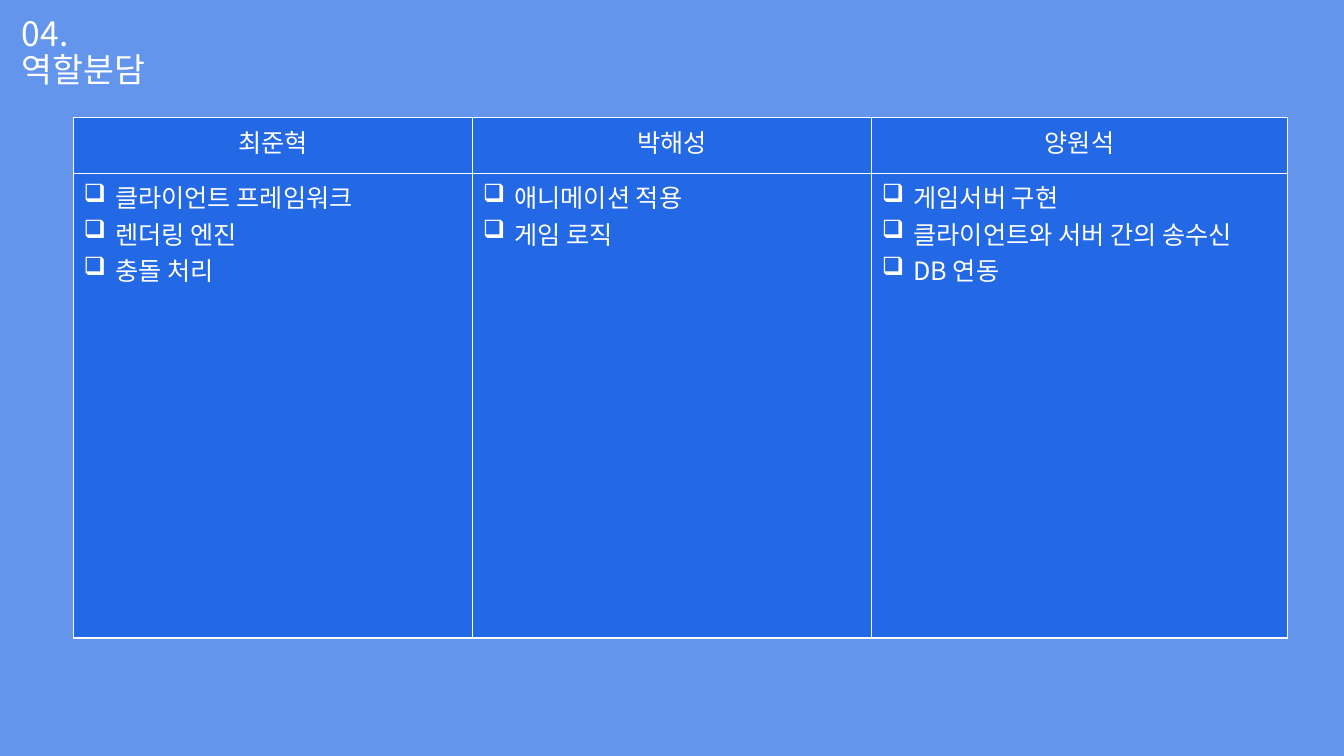
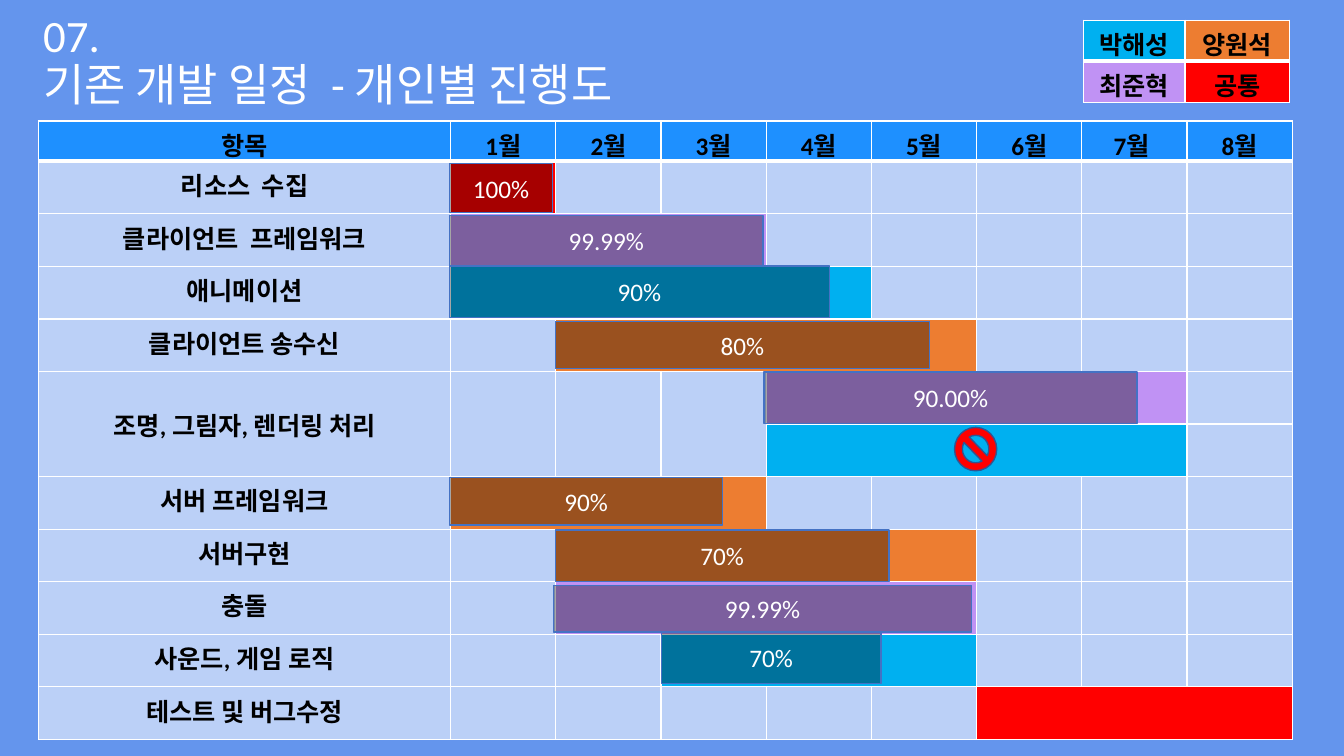
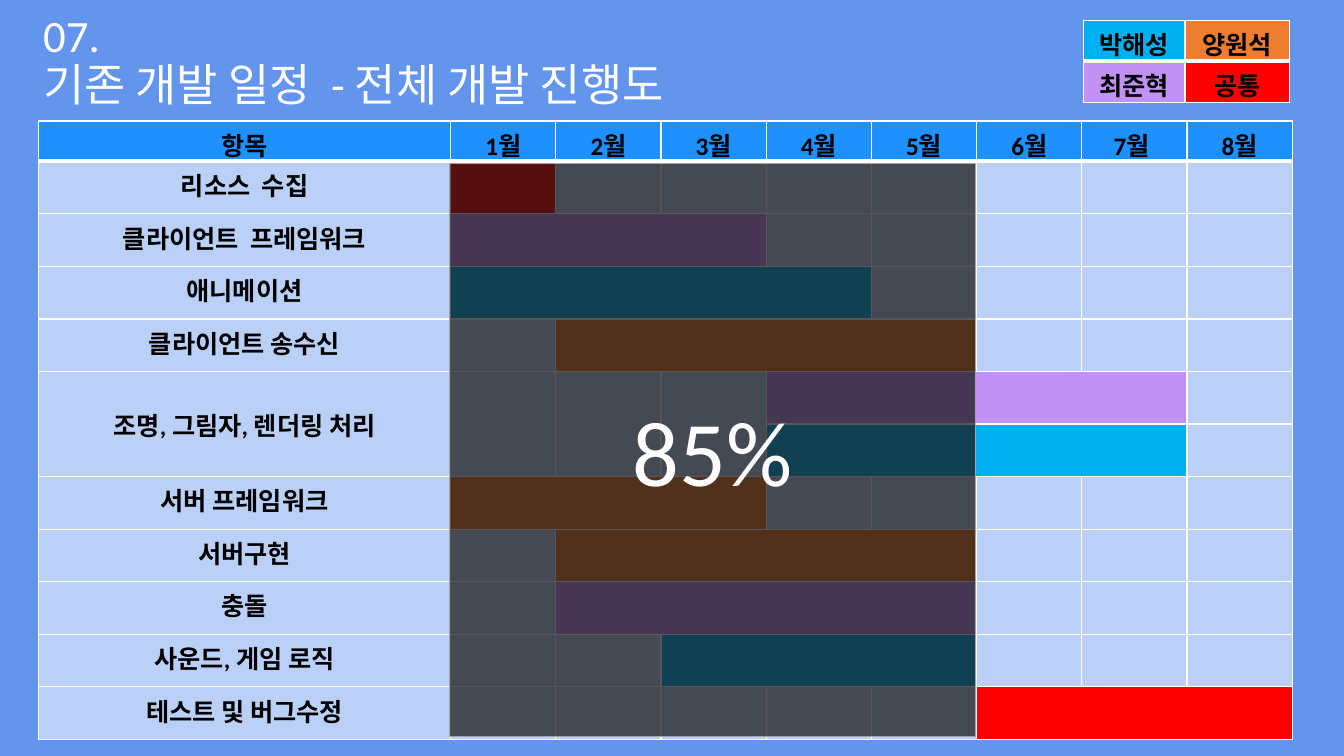
import pptx
import pptx.util
import pptx.dml.color
import pptx.enum.text
import pptx.enum.shapes
import pptx.oxml.ns
import lxml.etree

Pt = pptx.util.Pt
RGB = pptx.dml.color.RGBColor.from_string
CENTER = pptx.enum.text.PP_ALIGN.CENTER
MIDDLE = pptx.enum.text.MSO_ANCHOR.MIDDLE
SHAPES = pptx.enum.shapes.MSO_SHAPE
qn = pptx.oxml.ns.qn

COLORS = {
    "background": "6495ED", "white": "FFFFFF", "black": "000000",
    "roles": "2368E5", "header": "1E90FF", "cell": "BBD0F7",
    "박해성": "00B0F0", "양원석": "ED7D31", "최준혁": "C092F4", "공통": "FF0000",
    "progress_line": "4472C4", "overall": "171515", "overall_line": "A5A5A5",
    "stop_line": "325491",
}
KOREAN = "Noto Sans CJK KR"
LATIN = "Calibri"


def style(frame, size, color, font=LATIN, bold=False, align=None):
    for paragraph in frame.paragraphs:
        paragraph.alignment = align
        for run in paragraph.runs:
            run.font.size = Pt(size)
            run.font.bold = bold
            run.font.name = font
            run.font.color.rgb = RGB(COLORS[color])
            east_asian = lxml.etree.SubElement(run.font._element, qn("a:ea"))
            east_asian.set("typeface", KOREAN)


def paint(cell, color, bottom=1):
    properties = cell._tc.get_or_add_tcPr()
    for side, width in (("L", 1), ("R", 1), ("T", 1), ("B", bottom)):
        border = lxml.etree.SubElement(properties, qn("a:ln" + side), w=str(Pt(width)))
        solid = lxml.etree.SubElement(border, qn("a:solidFill"))
        lxml.etree.SubElement(solid, qn("a:srgbClr"), val=COLORS["white"])
    cell.fill.solid()
    cell.fill.fore_color.rgb = RGB(COLORS[color])


prs = pptx.Presentation()
prs.slide_width = Pt(960)
prs.slide_height = Pt(540)
prs.slide_master.background.fill.solid()
prs.slide_master.background.fill.fore_color.rgb = RGB(COLORS["background"])

titles = [
    ("04.\n역할분담", 8.6, 16.6, 24, KOREAN),
    ("07.\n기존 개발 일정  - 개인별 진행도", 23.8, 23, 32, LATIN),
    ("07.\n기존 개발 일정  - 전체 개발 진행도", 23.8, 23, 32, LATIN),
]
slides = []
for wording, left, top, size, font in titles:
    slide = prs.slides.add_slide(prs.slide_layouts[6])
    title = slide.shapes.add_textbox(Pt(left), Pt(top), Pt(595.4), Pt(43.2)).text_frame
    title.word_wrap = True
    title.vertical_anchor = MIDDLE
    title.text = wording
    style(title, size, "white", font)
    for line in title.paragraphs:
        line.line_spacing = 0.9
    slides.append(slide)
roles_slide, personal_slide, overall_slide = slides

roles = [
    ("최준혁", 285.1, ["클라이언트 프레임워크", "렌더링 엔진", "충돌 처리"]),
    ("박해성", 285.1, ["애니메이션 적용", "게임 로직"]),
    ("양원석", 296.7, ["게임서버 구현", "클라이언트와 서버 간의 송수신", "DB 연동"]),
]
roles_table = roles_slide.shapes.add_table(
    2, 3, Pt(52.6), Pt(84.2), Pt(866.9), Pt(371.5)).table
roles_table.first_row = roles_table.horz_banding = False
roles_table.rows[0].height = Pt(39.6)
roles_table.rows[1].height = Pt(331.9)
for column, (member, width, tasks) in enumerate(roles):
    roles_table.columns[column].width = Pt(width)
    member_cell, tasks_cell = roles_table.cell(0, column), roles_table.cell(1, column)
    member_cell.text_frame.text = member
    tasks_cell.text_frame.text = "\n".join(tasks)
    for task in tasks_cell.text_frame.paragraphs:
        indent = task._p.get_or_add_pPr()
        indent.set("marL", str(Pt(22.5)))
        indent.set("indent", str(-Pt(22.5)))
        lxml.etree.SubElement(indent, qn("a:buChar"), char="❑")
    style(member_cell.text_frame, 18, "white", KOREAN, align=CENTER)
    style(tasks_cell.text_frame, 18, "white", KOREAN)
    paint(member_cell, "roles")
    paint(tasks_cell, "roles")

headings = ["항목", "1월", "2월", "3월", "4월", "5월", "6월", "7월 ", "8월"]
schedule = [
    ("리소스  수집", 1, 1, "공통"),
    ("클라이언트  프레임워크", 1, 3, "최준혁"),
    ("애니메이션", 1, 4, "박해성"),
    ("클라이언트 송수신", 2, 5, "양원석"),
    ("조명, 그림자, 렌더링 처리", 4, 7, "최준혁"),
    ("", 4, 7, "박해성"),
    ("서버 프레임워크", 1, 3, "양원석"),
    ("서버구현", 2, 5, "양원석"),
    ("충돌", 2, 5, "최준혁"),
    ("사운드, 게임 로직", 3, 5, "박해성"),
    ("테스트 및 버그수정", 6, 8, "공통"),
]
legend = [["박해성", "양원석"], ["최준혁", "공통"]]

for slide in (personal_slide, overall_slide):
    plan = slide.shapes.add_table(
        len(schedule) + 1, len(headings), Pt(27.4), Pt(86.4), Pt(895.7), Pt(440.6)).table
    plan.first_row = plan.horz_banding = False
    for column, heading in enumerate(headings):
        plan.columns[column].width = Pt(75.15 if column else 294.5)
        heading_cell = plan.cell(0, column)
        heading_cell.text_frame.text = heading
        style(heading_cell.text_frame, 18, "black", LATIN if column else KOREAN, True, CENTER)
        paint(heading_cell, "header", 3)
    plan.rows[0].height = Pt(27.4)
    for row, (item, first, last, owner) in enumerate(schedule, 1):
        plan.rows[row].height = Pt(37.55)
        for column in range(len(headings)):
            paint(plan.cell(row, column), owner if first <= column <= last else "cell")
        item_cell = plan.cell(row, 0)
        item_cell.text_frame.text = item
        style(item_cell.text_frame, 18, "black", LATIN, True, CENTER)
        if last > first:
            plan.cell(row, first).merge(plan.cell(row, last))
        if not item:
            for column in range(first):
                plan.cell(row - 1, column).merge(plan.cell(row, column))
            plan.cell(row - 1, 0).vertical_anchor = MIDDLE

    owners = slide.shapes.add_table(2, 2, Pt(774), Pt(14.4), Pt(147.2), Pt(58.6)).table
    owners.first_row = owners.horz_banding = False
    owners.columns[0].width = Pt(72.4)
    owners.columns[1].width = Pt(74.8)
    for row, names in enumerate(legend):
        owners.rows[row].height = Pt(29.3)
        for column, owner in enumerate(names):
            owner_cell = owners.cell(row, column)
            owner_cell.text_frame.text = owner
            style(owner_cell.text_frame, 18, "black", LATIN, True, CENTER)
            paint(owner_cell, owner, 1 if row else 3)

personal_look = (personal_slide, 18, "black", 35, "progress_line", 1)
overall_look = (overall_slide, 66, "overall", 72, "overall_line", 0.5)
progress = [
    ("100%", 321.1, 116.6, 73.4, 35.3, personal_look),
    ("99.99%", 321.1, 154.1, 223.9, 36, personal_look),
    ("90%", 321.1, 190.1, 271.4, 36.7, personal_look),
    ("80%", 396.7, 229.7, 267.1, 33.8, personal_look),
    ("90.00%", 545.8, 265.7, 266.4, 36.7, personal_look),
    ("90%", 321.1, 341.3, 195.1, 33.8, personal_look),
    ("70%", 396.7, 378.7, 238.3, 36.7, personal_look),
    ("99.99%", 395.3, 418.3, 298.8, 33.1, personal_look),
    ("70%", 472.3, 451.4, 157, 36.7, personal_look),
    ("85%", 321.1, 116.6, 375.8, 409.7, overall_look),
]
for rate, left, top, width, height, look in progress:
    slide, size, fill, opacity, line, line_width = look
    bar = slide.shapes.add_shape(SHAPES.RECTANGLE, Pt(left), Pt(top), Pt(width), Pt(height))
    bar.shadow.inherit = False
    bar.fill.solid()
    bar.fill.fore_color.rgb = RGB(COLORS[fill])
    shade = bar._element.spPr.find(qn("a:solidFill")).find(qn("a:srgbClr"))
    lxml.etree.SubElement(shade, qn("a:alpha"), val=str(opacity * 1000))
    bar.line.color.rgb = RGB(COLORS[line])
    bar.line.width = Pt(line_width)
    bar.text_frame.text = rate
    bar.text_frame.vertical_anchor = MIDDLE
    style(bar.text_frame, size, "white", align=CENTER)

stop_sign = personal_slide.shapes.add_shape(
    SHAPES.NO_SYMBOL, Pt(681.8), Pt(305.3), Pt(30.2), Pt(31))
stop_sign.shadow.inherit = False
stop_sign.fill.solid()
stop_sign.fill.fore_color.rgb = RGB(COLORS["공통"])
stop_sign.line.color.rgb = RGB(COLORS["stop_line"])
stop_sign.line.width = Pt(1)

prs.save("out.pptx")
